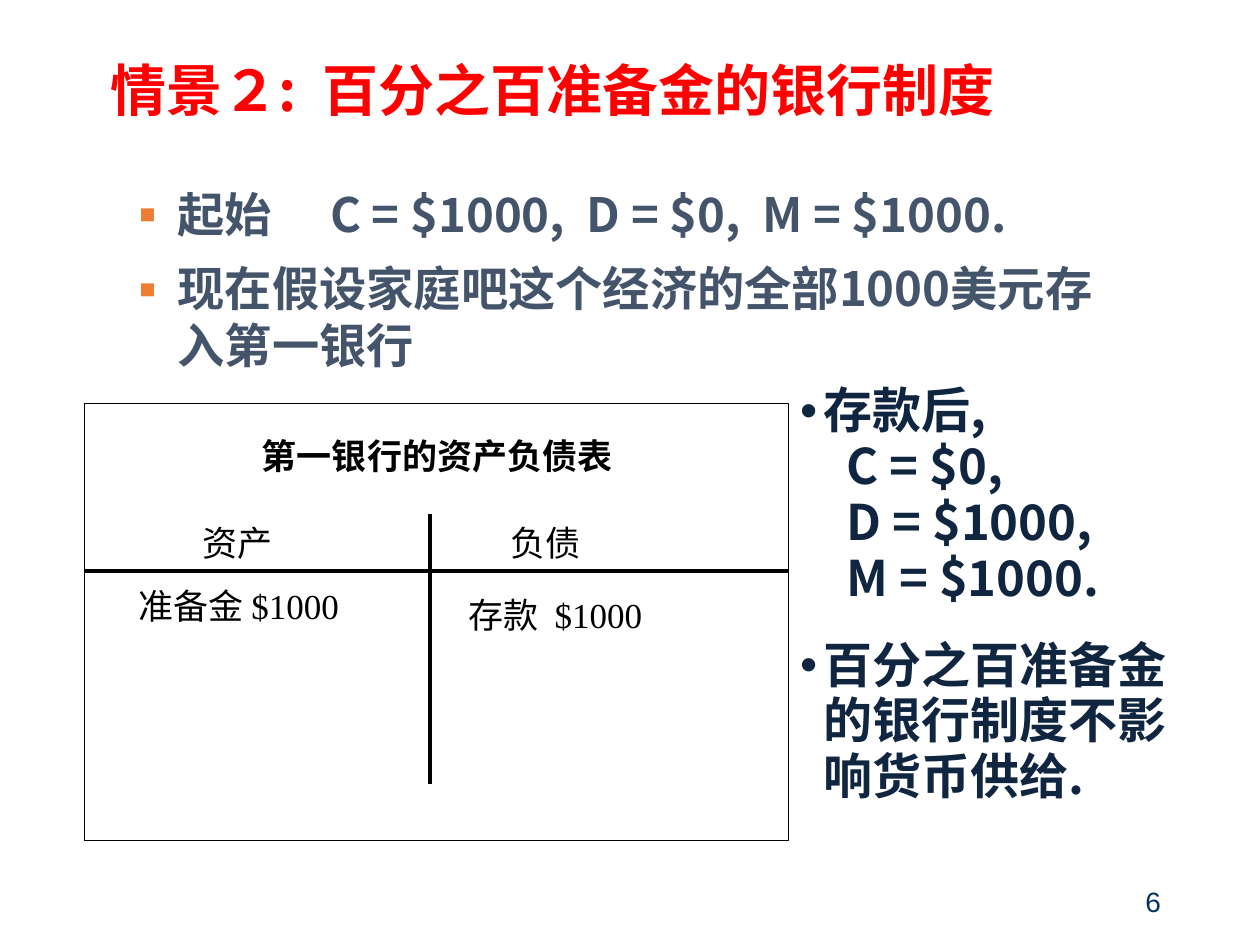
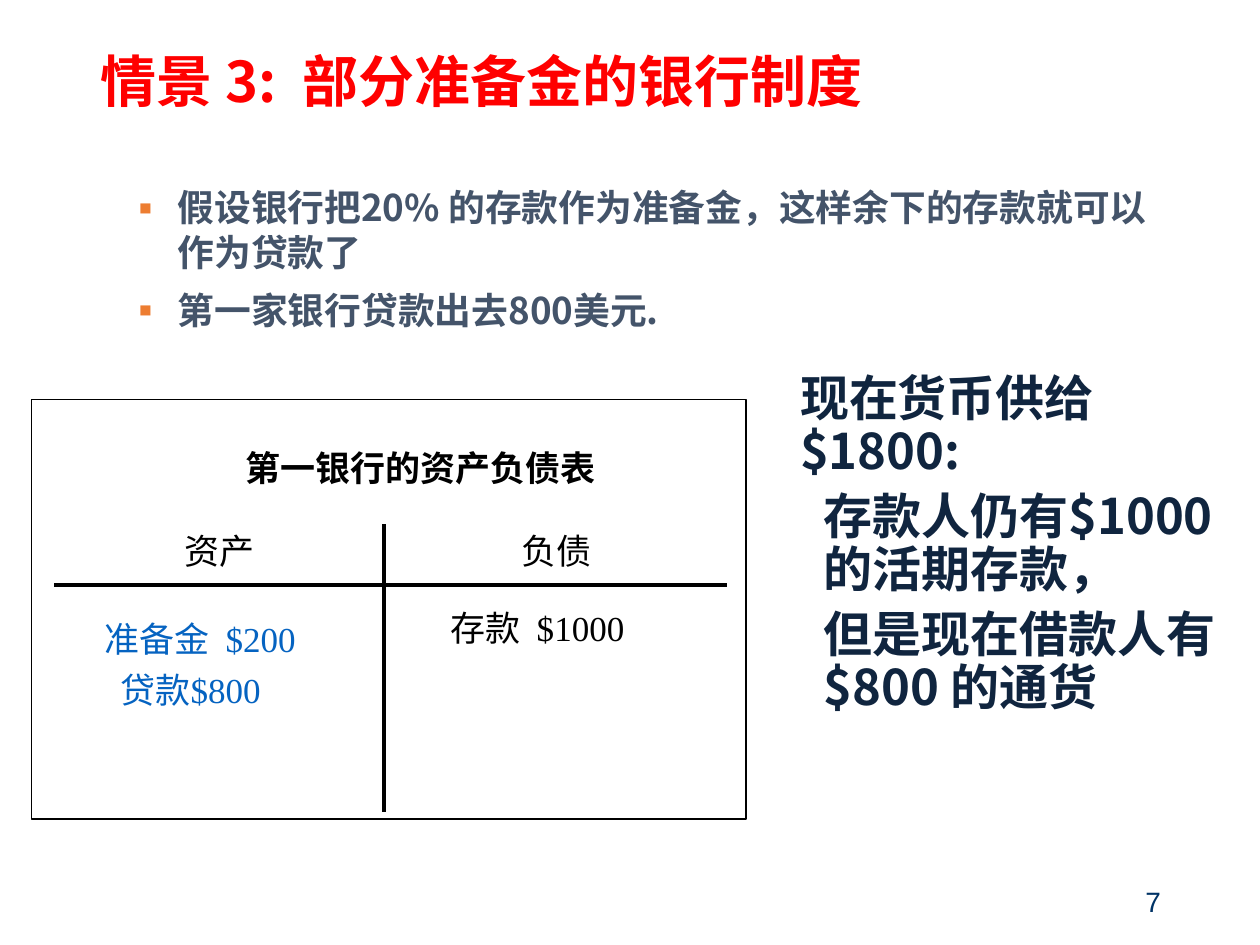
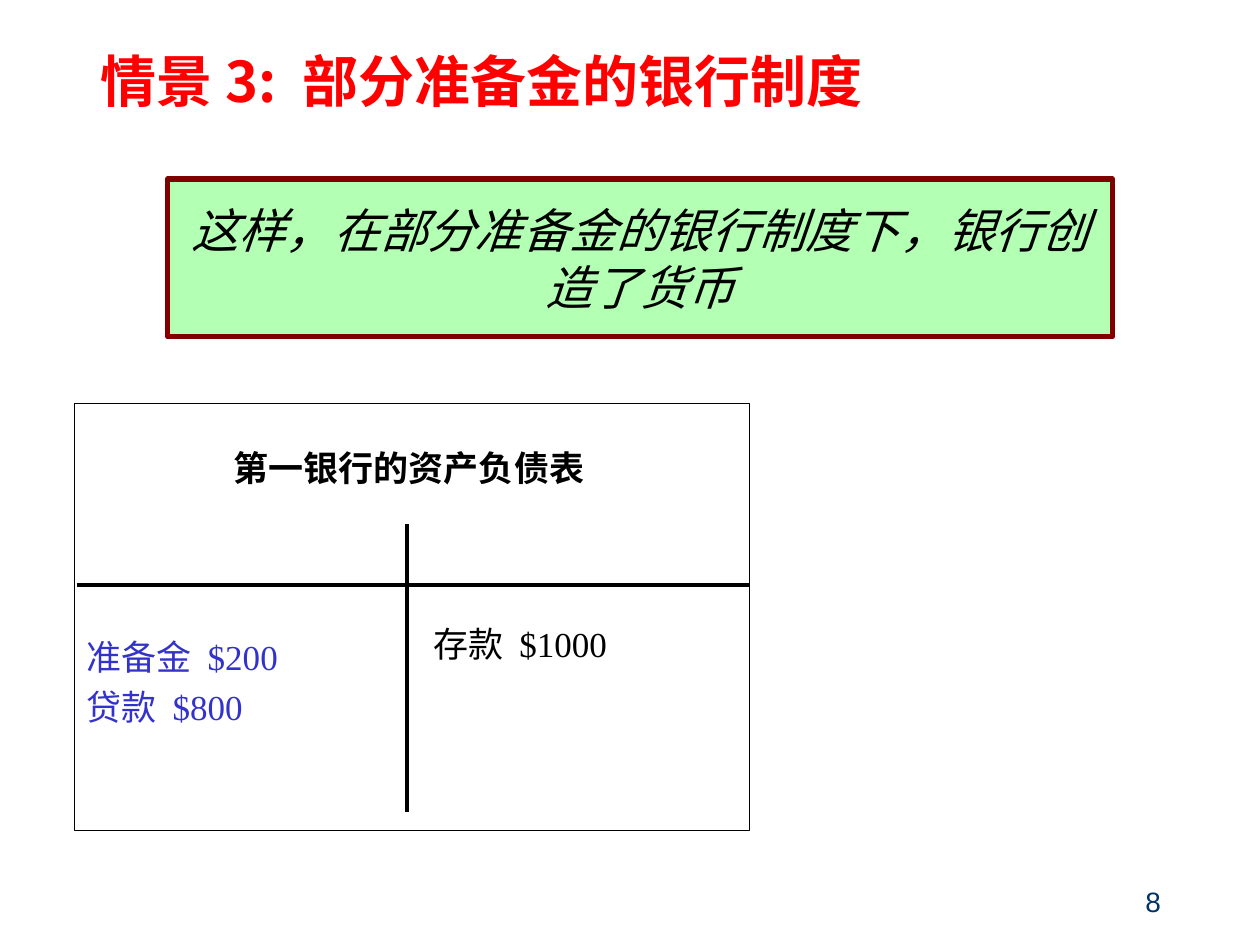
from lxml.etree import SubElement
from pptx import Presentation
from pptx.dml.color import RGBColor
from pptx.enum.shapes import MSO_CONNECTOR, MSO_SHAPE
from pptx.enum.text import MSO_ANCHOR as ANCHOR, PP_ALIGN as ALIGN
from pptx.oxml.ns import qn
from pptx.util import Cm, Pt

RED = RGBColor(0xFF, 0x00, 0x00)
SLATE = RGBColor(0x44, 0x54, 0x6A)
NAVY = RGBColor(0x10, 0x25, 0x3F)
PAGE_BLUE = RGBColor(0x00, 0x33, 0x66)
ORANGE = RGBColor(0xED, 0x7D, 0x31)
LINK_BLUE = RGBColor(0x05, 0x63, 0xC1)
VIOLET = RGBColor(0x33, 0x33, 0xCC)
MINT = RGBColor(0xB3, 0xFF, 0xB3)
MAROON = RGBColor(0x80, 0x00, 0x00)
BLACK = RGBColor(0x00, 0x00, 0x00)

SANS, SERIF, PLAIN = "Noto Sans CJK SC", "Times New Roman", "Arial"

# Paragraph styles: hanging bullets and plain indents, in cm
SQUARE = {"left": 0.79, "bullet": "▪", "bullet_color": ORANGE, "bullet_size": 110}
DOT = {"left": 0.48, "bullet": "•", "bullet_color": NAVY, "bullet_size": 100}
UNDER_DOT = {"left": 0.93}
INDENTED = {"left": 0.48, "before": 7}


def write(shape, lines, size, color, font=SANS, bold=False, italic=False,
          align=ALIGN.LEFT, anchor=ANCHOR.MIDDLE, spacing=1.0, inset=True):
    """Fill a shape with paragraphs, each given as (text, paragraph style)."""
    frame = shape.text_frame
    frame.word_wrap = True
    frame.vertical_anchor = anchor
    if not inset:
        frame.margin_left = frame.margin_right = 0
        frame.margin_top = frame.margin_bottom = 0
    frame.text = "\n".join(text for text, style in lines)
    for paragraph, (text, style) in zip(frame.paragraphs, lines):
        properties = paragraph._p.get_or_add_pPr()
        if "left" in style:
            left = Cm(style["left"])
            properties.set("marL", str(left))
            properties.set("indent", str(-left if "bullet" in style else 0))
        if "bullet" in style:
            bullet_color = SubElement(properties, qn("a:buClr"))
            SubElement(bullet_color, qn("a:srgbClr"), val=str(style["bullet_color"]))
            SubElement(properties, qn("a:buSzPct"), val=str(style["bullet_size"] * 1000))
            SubElement(properties, qn("a:buFont"), typeface=PLAIN)
            SubElement(properties, qn("a:buChar"), char=style["bullet"])
        paragraph.alignment = align
        paragraph.line_spacing = spacing
        paragraph.space_before = Pt(style.get("before", 0))
        for run in paragraph.runs:
            run.font.name = font
            run.font.size = Pt(size)
            run.font.bold = bold
            run.font.italic = italic
            run.font.color.rgb = color
            SubElement(run._r.get_or_add_rPr(), qn("a:ea"), typeface=SANS)


def add_box(slide, box):
    """Add a text box at (left, top, width, height) in cm."""
    return slide.shapes.add_textbox(*[Cm(length) for length in box])


presentation = Presentation()
presentation.slide_width = Cm(25.4)
presentation.slide_height = Cm(19.05)

FRACTIONAL_TITLE = "情景 3:  部分准备金的银行制度"

# Each balance sheet has a frame, a rule (x1, x2, y), a divider (x, y1, y2), a heading,
# and cells as (box, alignment, colour, lines).
scenes = [
    {
        "page": "6",
        "title": ("情景２:  百分之百准备金的银行制度", 1.98, 0.71),
        "points": (20.32, 27, [
            ("起始　 C = $1000,  D = $0,  M = $1000.", SQUARE),
            ("现在假设家庭吧这个经济的全部1000美元存入第一银行", {**SQUARE, "before": 10.1}),
        ]),
        "remarks": ((15.88, 7.62, 8.69, 9.32), 0.95, [
            ("存款后,", DOT),
            ("C = $0,", UNDER_DOT),
            ("D = $1000,", UNDER_DOT),
            ("M = $1000.", UNDER_DOT),
            ("百分之百准备金的银行制度不影响货币供给.", {**DOT, "before": 17.5}),
        ]),
        "frame": (1.7, 8.13, 14.2, 8.81),
        "rule": (1.7, 15.9, 11.51),
        "divider": (8.66, 10.36, 15.8),
        "heading": (3.71, 8.53, 10.21, 1.3),
        "cells": [
            ((2.64, 10.24, 4.29, 1.4), ALIGN.CENTER, BLACK, [("资产", {})]),
            ((8.86, 10.24, 4.29, 1.4), ALIGN.CENTER, BLACK, [("负债", {})]),
            ((2.79, 11.51, 6.05, 1.4), ALIGN.LEFT, BLACK, [("准备金 $1000", {})]),
            ((9.45, 11.68, 6.05, 1.4), ALIGN.LEFT, BLACK, [("存款  $1000", {})]),
        ],
    },
    {
        "page": "7",
        "title": (FRACTIONAL_TITLE, 1.78, 0.53),
        "points": (20.96, 21, [
            ("假设银行把20% 的存款作为准备金，这样余下的存款就可以作为贷款了", SQUARE),
            ("第一家银行贷款出去800美元.", {**SQUARE, "before": 7.9}),
        ]),
        "remarks": ((15.88, 7.42, 8.89, 9.96), 0.9, [
            ("现在货币供给$1800:", {}),
            ("存款人仍有$1000 的活期存款，", INDENTED),
            ("但是现在借款人有$800 的通货", INDENTED),
        ]),
        "frame": (0.64, 8.05, 14.4, 8.46),
        "rule": (1.09, 14.66, 11.79),
        "divider": (7.75, 10.57, 16.36),
        "heading": (2.82, 8.74, 11.33, 1.37),
        "cells": [
            ((2.11, 10.36, 4.65, 1.47), ALIGN.CENTER, BLACK, [("资产", {})]),
            ((8.89, 10.36, 4.65, 1.47), ALIGN.CENTER, BLACK, [("负债", {})]),
            ((2.11, 12.12, 5.33, 2.54), ALIGN.LEFT, LINK_BLUE,
             [("准备金  $200", {}), ("贷款$800", {"left": 0.32, "before": 5})]),
            ((9.09, 11.91, 5.23, 1.47), ALIGN.LEFT, BLACK, [("存款  $1000", {})]),
        ],
    },
    {
        "page": "8",
        "title": (FRACTIONAL_TITLE, 1.78, 0.53),
        "callout": "这样，在部分准备金的银行制度下，银行创造了货币",
        "frame": (1.5, 8.13, 13.61, 8.61),
        "rule": (1.55, 15.09, 11.79),
        "divider": (8.2, 10.57, 16.36),
        "heading": (2.58, 8.74, 11.33, 1.37),
        "cells": [
            ((1.75, 12.47, 6.35, 2.54), ALIGN.LEFT, VIOLET,
             [("准备金  $200", {}), ("贷款  $800", {"before": 5})]),
            ((8.74, 12.24, 5.36, 1.47), ALIGN.LEFT, BLACK, [("存款  $1000", {})]),
        ],
    },
]

for scene in scenes:
    slide = presentation.slides.add_slide(presentation.slide_layouts[6])

    title, left, top = scene["title"]
    write(add_box(slide, (left, top, 23.4, 2.34)), [(title, {})], 32, RED,
          bold=True, spacing=0.9)

    if "points" in scene:
        width, size, lines = scene["points"]
        write(add_box(slide, (2.54, 3.61, width, 4.01)), lines, size, SLATE,
              bold=True, anchor=ANCHOR.TOP)
    if "remarks" in scene:
        box, spacing, lines = scene["remarks"]
        write(add_box(slide, box), lines, 28, NAVY,
              bold=True, anchor=ANCHOR.TOP, spacing=spacing)
    if "callout" in scene:
        callout = slide.shapes.add_shape(
            MSO_SHAPE.RECTANGLE, Cm(3.38), Cm(3.61), Cm(19.05), Cm(3.18))
        callout.shadow.inherit = False
        callout.fill.solid()
        callout.fill.fore_color.rgb = MINT
        callout.line.color.rgb = MAROON
        callout.line.width = Pt(3)
        write(callout, [(scene["callout"], {})], 27, BLACK, italic=True, align=ALIGN.CENTER)

    # Balance sheet
    sheet = slide.shapes.add_shape(
        MSO_SHAPE.RECTANGLE, *[Cm(length) for length in scene["frame"]])
    sheet.shadow.inherit = False
    sheet.fill.background()
    sheet.line.color.rgb = BLACK
    sheet.line.width = Pt(0.75)

    rule_start, rule_end, rule_y = scene["rule"]
    divider_x, divider_top, divider_bottom = scene["divider"]
    for ends in [(rule_start, rule_y, rule_end, rule_y),
                 (divider_x, divider_top, divider_x, divider_bottom)]:
        line = slide.shapes.add_connector(
            MSO_CONNECTOR.STRAIGHT, *[Cm(length) for length in ends])
        line.line.color.rgb = BLACK
        line.line.width = Pt(2.25)
        SubElement(line._element.spPr, qn("a:effectLst"))

    write(add_box(slide, scene["heading"]), [("第一银行的资产负债表", {})], 20, BLACK,
          SERIF, bold=True, align=ALIGN.CENTER, inset=False)
    for box, align, color, lines in scene["cells"]:
        write(add_box(slide, box), lines, 20, color, SERIF, align=align, inset=False)

    write(add_box(slide, (17.93, 17.65, 5.72, 1.02)), [(scene["page"], {})], 16, PAGE_BLUE,
          PLAIN, align=ALIGN.RIGHT)

presentation.save("out.pptx")
